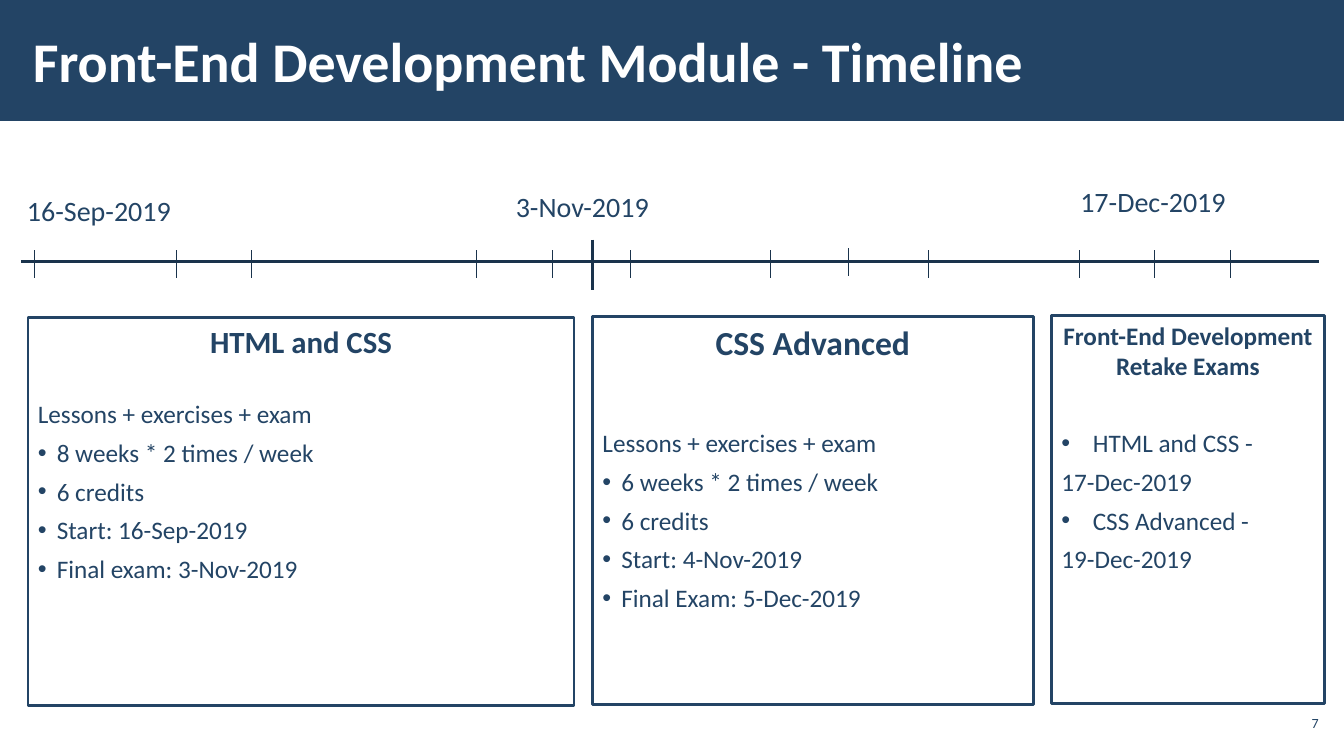
from dataclasses import dataclass

from lxml.etree import SubElement
from pptx import Presentation
from pptx.dml.color import RGBColor
from pptx.enum.shapes import MSO_CONNECTOR, MSO_SHAPE
from pptx.enum.text import MSO_ANCHOR, PP_ALIGN
from pptx.oxml.ns import qn
from pptx.util import Pt


@dataclass(frozen=True)
class Theme:
    navy: RGBColor = RGBColor(0x23, 0x44, 0x65)
    axis: RGBColor = RGBColor(0x1A, 0x33, 0x4C)
    white: RGBColor = RGBColor(0xFF, 0xFF, 0xFF)
    font: str = "Calibri"
    title: Pt = Pt(40)
    date: Pt = Pt(20)
    body: Pt = Pt(18)
    number: Pt = Pt(10)


theme = Theme()


def format_paragraph(para, size, color=theme.navy, bold=False, align=PP_ALIGN.LEFT,
                     before=0, after=0, hanging=0):
    """Style a paragraph and its runs; a hanging indent also gives it a bullet."""
    if hanging:
        properties = para._p.get_or_add_pPr()
        properties.set("marL", str(Pt(hanging)))
        properties.set("indent", str(-Pt(hanging)))
        SubElement(properties, qn("a:buFont"), typeface="Arial")
        SubElement(properties, qn("a:buChar"), char="•")
    para.alignment = align
    para.space_before, para.space_after = Pt(before), Pt(after)
    for font in [para.font] + [span.font for span in para.runs]:
        for name, value in {"name": theme.font, "size": size, "bold": bold}.items():
            setattr(font, name, value)
        font.color.rgb = color


def add_rule(shapes, x1, y1, x2, y2, weight):
    rule = shapes.add_connector(MSO_CONNECTOR.STRAIGHT, Pt(x1), Pt(y1), Pt(x2), Pt(y2))
    rule.line.color.rgb = theme.axis
    rule.line.width = Pt(weight)
    SubElement(rule.element.spPr, qn("a:effectLst"))


deck = Presentation()
deck.slide_width, deck.slide_height = Pt(960), Pt(540)
page = deck.slides.add_slide(deck.slide_layouts[5])

# Title on its banner
banner = page.shapes.add_shape(MSO_SHAPE.RECTANGLE, 0, 0, deck.slide_width, Pt(86.4))
banner.shadow.inherit = False
banner.fill.solid()
banner.fill.fore_color.rgb = theme.navy
banner.line.fill.background()

title = page.shapes.title
title.element.addprevious(banner.element)
title.left, title.top, title.width, title.height = Pt(15), Pt(8), Pt(749), Pt(70)
title.text_frame.text = "Front-End Development Module - Timeline"
title.text_frame.vertical_anchor = MSO_ANCHOR.MIDDLE
title.text_frame.margin_left = title.text_frame.margin_right = Pt(8.5)
format_paragraph(title.text_frame.paragraphs[0], theme.title, theme.white, bold=True)

# Time axis, the change of course and the ticks
timeline = page.shapes.add_group_shape()
add_rule(timeline.shapes, 15, 187, 942, 187, 2.25)
add_rule(timeline.shapes, 423.3, 171.2, 423.3, 207.2, 2.25)
ticks = [24.5, 126, 179.3, 340.6, 394.6, 450, 550, 606.3, 663, 771, 824.5, 878.5]
for x in ticks:
    top = 177.2 if x == 606.3 else 178.6
    add_rule(timeline.shapes, x, top, x, top + 20, 0.5)

dates = [
    ("16-Sep-2019", 12.2, 135),
    ("3-Nov-2019", 361.4, 132),
    ("17-Dec-2019", 764.6, 128.2),
]
for text, left, top in dates:
    box = page.shapes.add_textbox(Pt(left), Pt(top), Pt(119), Pt(31.5))
    box.text_frame.word_wrap = True
    box.text_frame.text = text
    format_paragraph(box.text_frame.paragraphs[0], theme.date)

# Course cards: heading, its size, left, top, width, gap below heading, lines.
# Each line is its text and its hanging indent.
cards = [
    ("HTML and CSS", 22, 20, 226.8, 390, 28, [
        ("Lessons + exercises + exam", 0),
        ("8 weeks * 2 times / week", 13.5),
        ("6 credits", 13.5),
        ("Start: 16-Sep-2019", 13.5),
        ("Final exam: 3-Nov-2019", 13.5),
    ]),
    ("CSS Advanced", 24, 423.3, 226.1, 314.7, 47, [
        ("Lessons + exercises + exam", 0),
        ("6 weeks * 2 times / week", 13.5),
        ("6 credits", 13.5),
        ("Start: 4-Nov-2019", 13.5),
        ("Final Exam: 5-Dec-2019", 13.5),
    ]),
    ("Front-End Development\vRetake Exams", 18, 751, 225.3, 195, 33.5, [
        ("HTML and CSS -", 22.5),
        ("17-Dec-2019", 0),
        ("CSS Advanced -", 22.5),
        ("19-Dec-2019", 0),
    ]),
]
for heading, size, left, top, width, gap, lines in cards:
    card = page.shapes.add_shape(MSO_SHAPE.RECTANGLE, Pt(left), Pt(top), Pt(width), Pt(277.2))
    card.shadow.inherit = False
    card.fill.solid()
    card.fill.fore_color.rgb = theme.white
    card.line.color.rgb = theme.navy
    card.line.width = Pt(2)
    frame = card.text_frame
    frame.word_wrap = True
    frame.vertical_anchor = MSO_ANCHOR.TOP
    frame.text = heading
    format_paragraph(frame.paragraphs[0], Pt(size), bold=True, align=PP_ALIGN.CENTER)
    for index, (text, hanging) in enumerate(lines):
        para = frame.add_paragraph()
        para.text = text
        format_paragraph(para, theme.body, before=6 if index else gap, hanging=hanging)

# Slide number as a live field
number = page.shapes.add_textbox(Pt(911), Pt(504), Pt(34), Pt(24.5))
number.text_frame.vertical_anchor = MSO_ANCHOR.MIDDLE
number.text_frame.margin_left = number.text_frame.margin_right = Pt(3)
para = number.text_frame.paragraphs[0]
para.text = "7"
format_paragraph(para, theme.number, align=PP_ALIGN.RIGHT)
deck.element.set("firstSlideNum", "7")
field = para.runs[0]._r
field.tag = qn("a:fld")
field.set("id", "{B6F15528-21DE-4FAA-801E-634DDDAF4B2B}")
field.set("type", "slidenum")

deck.save("out.pptx")
